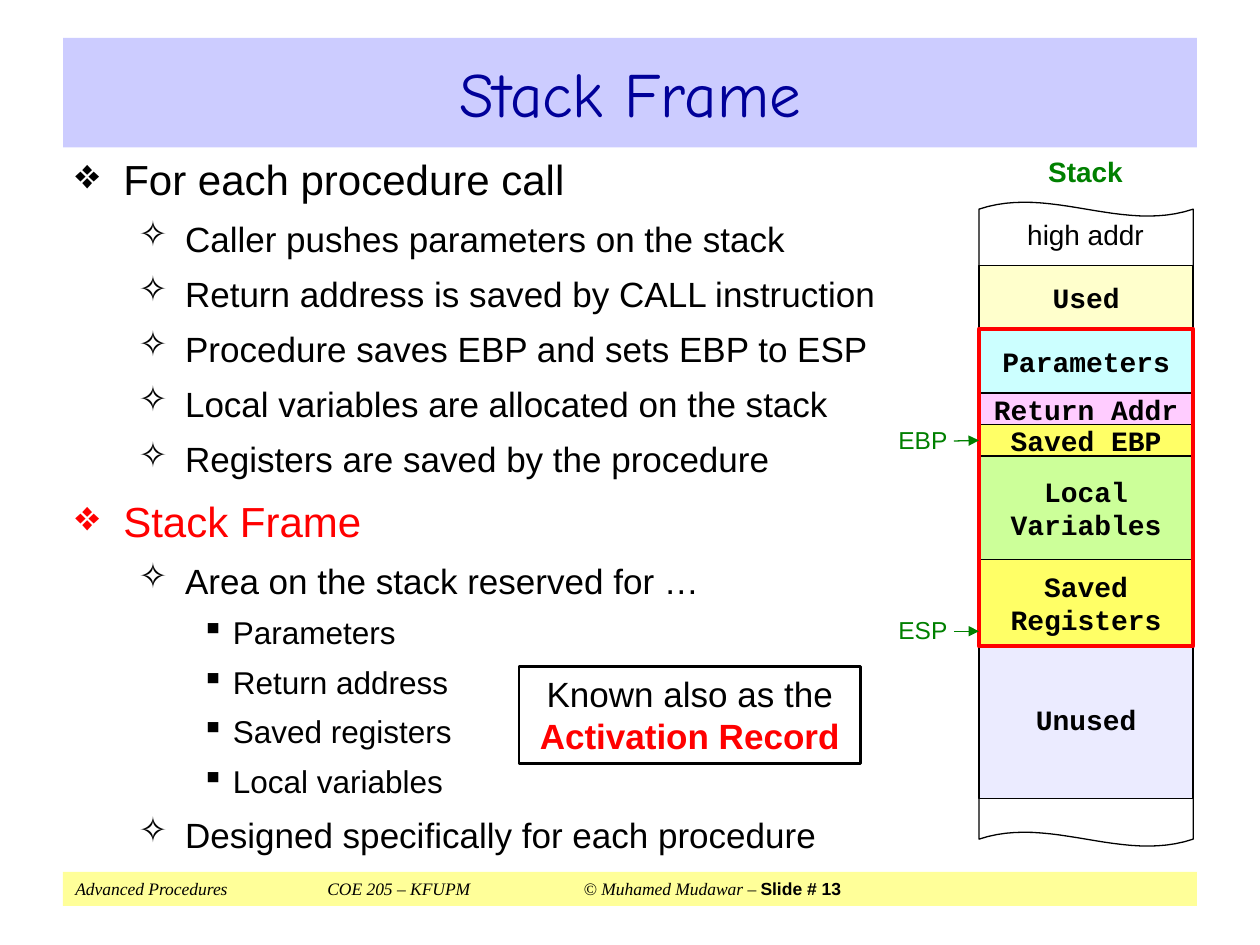
from lxml.etree import SubElement
from pptx import Presentation
from pptx.dml.color import RGBColor
from pptx.enum.shapes import MSO_CONNECTOR, MSO_SHAPE
from pptx.enum.text import MSO_ANCHOR, PP_ALIGN
from pptx.oxml.ns import qn
from pptx.util import Inches, Pt

BLACK = RGBColor(0x00, 0x00, 0x00)
RED = RGBColor(0xFF, 0x00, 0x00)
GREEN = RGBColor(0x00, 0x80, 0x00)
NAVY = RGBColor(0x00, 0x00, 0x99)
LAVENDER = RGBColor(0xCC, 0xCC, 0xFF)
PALE_YELLOW = RGBColor(0xFF, 0xFF, 0x99)
CREAM = RGBColor(0xFF, 0xFF, 0xCC)
CYAN = RGBColor(0xCC, 0xFF, 0xFF)
PINK = RGBColor(0xFF, 0xCC, 0xFF)
YELLOW = RGBColor(0xFF, 0xFF, 0x66)
LIME = RGBColor(0xCC, 0xFF, 0x99)
PALE_BLUE = RGBColor(0xEB, 0xEB, 0xFF)

SANS, MONO, SERIF, HAND = "Arial", "Courier New", "Times New Roman", "Comic Neue"

# level: bullet, text indent, hanging indent, space before, size
LEVELS = [("❖", 0.38, 0.38, 9, 24),
          ("✧", 0.87, 0.37, 7.5, 20),
          ("▪", 1.25, 0.25, 6.8, 18)]

OUTLINE = [
    (0, "For each procedure call"),
    (1, "Caller pushes parameters on the stack"),
    (1, "Return address is saved by CALL instruction"),
    (1, "Procedure saves EBP and sets EBP to ESP"),
    (1, "Local variables are allocated on the stack"),
    (1, "Registers are saved by the procedure"),
    (0, "Stack Frame"),
    (1, "Area on the stack reserved for …"),
    (2, "Parameters"),
    (2, "Return address"),
    (2, "Saved registers"),
    (2, "Local variables"),
    (1, "Designed specifically for each procedure"),
]

# Stack areas from high to low address: text, height in rows, fill
STACK = [
    (["Used"], 1, CREAM),
    (["Parameters"], 1.02, CYAN),
    (["Return Addr"], 0.5, PINK),
    (["Saved EBP"], 0.5, YELLOW),
    (["Local", "Variables"], 1.64, LIME),
    (["Saved", "Registers"], 1.38, YELLOW),
]
STACK_X, STACK_W, STACK_TOP = 15.54, 3.4, 4.22


def add_run(p, text, size=16, font=SANS, color=BLACK, bold=False, italic=False):
    r = p.add_run()
    r.text = text
    f = r.font
    f.size, f.name, f.bold, f.italic = Pt(size), font, bold, italic
    f.color.rgb = color
    return r


class Deck:
    """One slide on a grid of 20 columns by 15 rows; all places are in cells."""

    CELL = Inches(0.5)

    def __init__(self):
        self.prs = Presentation()
        self.prs.slide_width, self.prs.slide_height = 20 * self.CELL, 15 * self.CELL
        self.s = self.prs.slides.add_slide(self.prs.slide_layouts[5])

    def cells(self, *values):
        return [round(v * self.CELL) for v in values]

    def frame(self, sp, inset=(0, 0, 0, 0), anchor=MSO_ANCHOR.TOP):
        tf = sp.text_frame
        tf.word_wrap = True
        tf.vertical_anchor = anchor
        (tf.margin_left, tf.margin_top,
         tf.margin_right, tf.margin_bottom) = self.cells(*inset)
        return tf

    def title(self, text, x, y, w, h):
        sp = self.s.shapes.title
        sp.left, sp.top, sp.width, sp.height = self.cells(x, y, w, h)
        sp.fill.solid()
        sp.fill.fore_color.rgb = LAVENDER
        p = self.frame(sp, anchor=MSO_ANCHOR.MIDDLE).paragraphs[0]
        p.alignment = PP_ALIGN.CENTER
        add_run(p, text, 36, HAND, NAVY)

    def style(self, sp, fill=None, line=None, weight=0.75):
        sp.shadow.inherit = False
        if fill is None:
            sp.fill.background()
        else:
            sp.fill.solid()
            sp.fill.fore_color.rgb = fill
        if line is None:
            sp.line.fill.background()
        else:
            sp.line.color.rgb = line
            sp.line.width = Pt(weight)
        return sp

    def rect(self, x, y, w, h, **look):
        box = self.cells(x, y, w, h)
        return self.style(self.s.shapes.add_shape(MSO_SHAPE.RECTANGLE, *box), **look)

    def block(self, lines, y, h, fill, anchor=MSO_ANCHOR.MIDDLE, below=0):
        """Draw one area of the stack, with free space below its text."""
        sp = self.rect(STACK_X, y, STACK_W, h, fill=fill, line=BLACK)
        tf = self.frame(sp, (0, 0, 0, below), anchor)
        for i, text in enumerate(lines):
            p = tf.add_paragraph() if i else tf.paragraphs[0]
            p.alignment = PP_ALIGN.CENTER
            add_run(p, text, font=MONO, bold=True)
        return sp

    def label(self, text, x, y, w, align=PP_ALIGN.CENTER, **form):
        sp = self.s.shapes.add_textbox(*self.cells(x, y, w, 0.5))
        p = self.frame(sp).paragraphs[0]
        p.alignment = align
        add_run(p, text, **form)

    def bullets(self, items, x, y, w, h):
        sp = self.s.shapes.add_textbox(*self.cells(x, y, w, h))
        tf = self.frame(sp, (0.2, 0.1, 0.2, 0.1))
        for i, (level, text) in enumerate(items):
            mark, left, hang, before, size = LEVELS[level]
            color = RED if text == "Stack Frame" else BLACK
            p = tf.add_paragraph() if i else tf.paragraphs[0]
            p.level, p.space_before = level, Pt(before)
            pPr = p._p.get_or_add_pPr()
            pPr.set("marL", str(Inches(left)))
            pPr.set("indent", str(-Inches(hang)))
            SubElement(SubElement(pPr, qn("a:buClr")), qn("a:srgbClr"), val=str(color))
            SubElement(pPr, qn("a:buChar"), char=mark)
            add_run(p, text, size, color=color)

    def pointer(self, text, y, target=None):
        """Draw a register name with an arrow to the stack's left side."""
        self.label(text, 14.26, y - 0.26, 1, PP_ALIGN.LEFT, size=14, color=GREEN)
        ends = self.cells(15.14, y, STACK_X, y)
        line = self.s.shapes.add_connector(MSO_CONNECTOR.STRAIGHT, *ends)
        if target is not None:
            line.end_connect(target, 1)
        line.line.color.rgb = GREEN
        line.line.width = Pt(0.75)
        SubElement(line.line._get_or_add_ln(), qn("a:tailEnd"), type="triangle")
        SubElement(line._element.spPr, qn("a:effectLst"))

    def wavy_sheet(self, x, top, w, bottom, swing=0.38, steps=24):
        """Outline a sheet whose top and bottom edges are cubic waves."""
        wave = []
        for i in range(steps + 1):
            t = i / steps
            wave.append((x + w * t, 3 * swing * t * (1 - t) * (2 * t - 1)))
        points = [self.cells(px, top + dy) for px, dy in wave]
        points += [self.cells(px, bottom + dy) for px, dy in reversed(wave)]
        builder = self.s.shapes.build_freeform(*points[0])
        builder.add_line_segments(points[1:], close=True)
        self.style(builder.convert_to_shape(), line=BLACK)

    def footer(self, x, y, w, h):
        tf = self.frame(self.rect(x, y, w, h, fill=PALE_YELLOW), (0.2, 0.1, 0.2, 0.1))
        p = tf.paragraphs[0]
        p.alignment = PP_ALIGN.LEFT
        tabs = SubElement(p._p.get_or_add_pPr(), qn("a:tabLst"))
        for pos in (2, 4):
            SubElement(tabs, qn("a:tab"), pos=str(Inches(pos)), algn="l")
        add_run(p, "Advanced Procedures\tCOE 205 – KFUPM\t © Muhamed Mudawar – ",
                10, SERIF, italic=True)
        add_run(p, "Slide # 13", 10, bold=True)

    def note(self, x, y, w, h):
        sp = self.rect(x, y, w, h, line=BLACK, weight=1.5)
        p = self.frame(sp, (0.2, 0.1, 0.2, 0.1)).paragraphs[0]
        p.alignment = PP_ALIGN.CENTER
        add_run(p, "Known also as the ", 20)
        add_run(p, "Activation Record", 20, color=RED, bold=True)


def main():
    deck = Deck()
    deck.footer(1, 13.84, 18, 0.54)
    deck.title("Stack Frame", 1, 0.6, 18, 1.74)
    deck.bullets(OUTLINE, 1, 2.34, 13.78, 11.46)

    deck.wavy_sheet(STACK_X, 3.32, STACK_W, 13.32)
    deck.label("high addr", 15.62, 3.46, 3.22)
    deck.label("Stack", 15.62, 2.46, 3.22, color=GREEN, bold=True)
    deck.block(["Unused"], 5.24, 7.44, PALE_BLUE, MSO_ANCHOR.BOTTOM, below=1)
    y, areas = STACK_TOP, {}
    for lines, height, fill in STACK:
        areas[lines[0]] = deck.block(lines, y, height, fill)
        y += height
    frame_top = STACK_TOP + STACK[0][1]
    deck.rect(STACK_X, frame_top, STACK_W, y - frame_top, line=RED, weight=2.25)

    deck.pointer("EBP", 7, areas["Saved EBP"])
    deck.pointer("ESP", 10.02)
    deck.note(8.24, 10.58, 5.42, 1.54)
    deck.prs.save("out.pptx")


if __name__ == "__main__":
    main()
